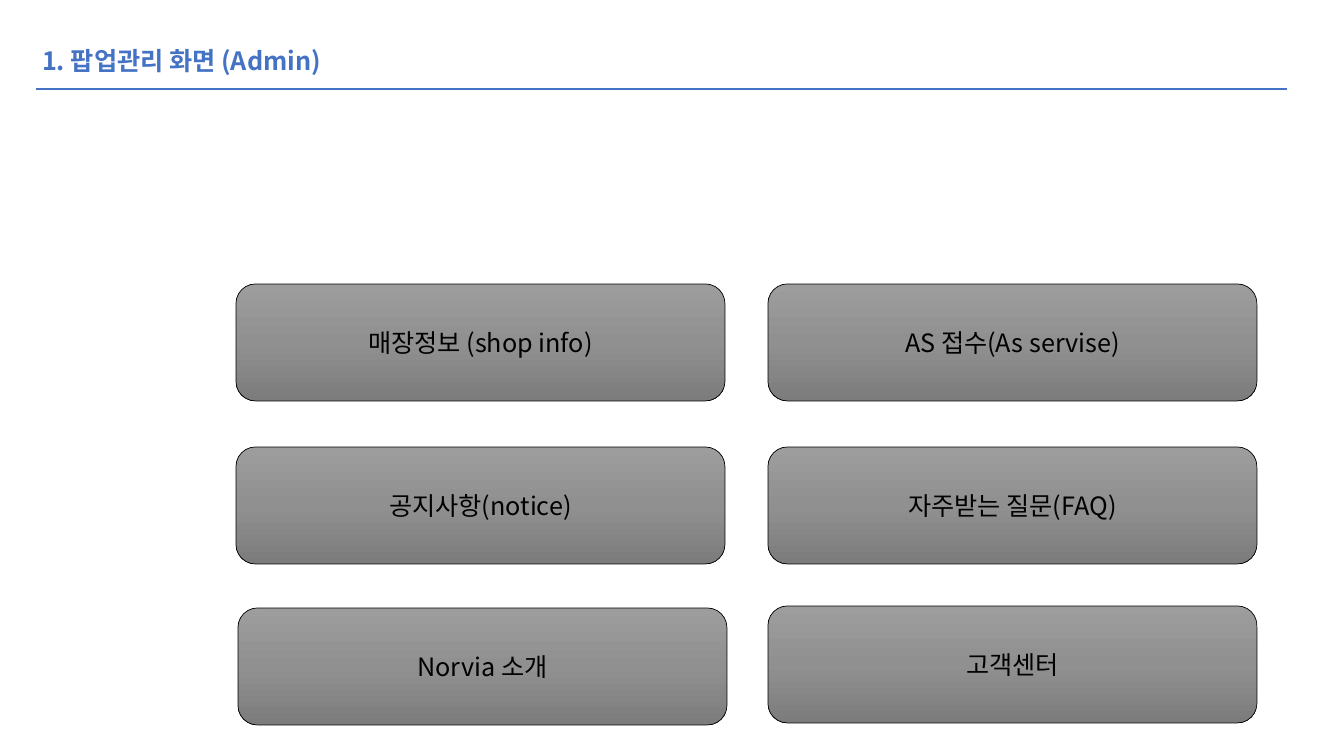
from copy import deepcopy

from lxml import etree
from pptx import Presentation
from pptx import util as u
from pptx.dml.color import RGBColor
from pptx.enum import shapes, text
from pptx.oxml.ns import qn

FONT = "Noto Sans CJK KR"
BLUE = RGBColor(0x44, 0x72, 0xC4)
BLACK = RGBColor(0, 0, 0)
GRADIENT = [
    (0, RGBColor(0x9D, 0x9D, 0x9D)),
    (0.5, RGBColor(0x90, 0x90, 0x90)),
    (1, RGBColor(0x7C, 0x7C, 0x7C)),
]


def px(n):
    return u.Emu(round(n * 914400 / 100.8))


def add_run(paragraph, wording, color, bold=False):
    run = paragraph.add_run()
    run.text = wording
    run.font.size = u.Pt(18)
    run.font.bold = bold
    run.font.color.rgb = color
    run.font.name = FONT
    # Korean glyphs take the East Asian typeface
    etree.SubElement(run.font._element, qn("a:ea")).set("typeface", FONT)


prs = Presentation()
prs.slide_width, prs.slide_height = px(1344), px(756)
slide = prs.slides.add_slide(prs.slide_layouts[5])

# Heading
heading = slide.shapes.title
heading.left, heading.top, heading.width, heading.height = px(32), px(40), px(320), px(40)
heading_frame = heading.text_frame
heading_frame.word_wrap = False
heading_frame.auto_size = text.MSO_AUTO_SIZE.SHAPE_TO_FIT_TEXT
heading_frame.vertical_anchor = text.MSO_ANCHOR.TOP
heading_frame.paragraphs[0].alignment = text.PP_ALIGN.LEFT
add_run(heading_frame.paragraphs[0], "1. 팝업관리 화면 (Admin)", BLUE, bold=True)

# Rule under the heading
rule = slide.shapes.add_connector(
    shapes.MSO_CONNECTOR.STRAIGHT, px(36), px(89), px(1287), px(89))
rule.line.color.rgb = BLUE
rule.line.width = u.Pt(1.5)
etree.SubElement(rule._element.spPr, qn("a:effectLst"))

# Menu buttons: label, left, top
menu = [
    ("매장정보 (shop info)", 236, 284),
    ("AS 접수(As servise)", 768, 284),
    ("공지사항(notice)", 236, 447),
    ("자주받는 질문(FAQ)", 768, 447),
    ("Norvia 소개", 238, 608),
    ("고객센터", 768, 606),
]
for label, left, top in menu:
    button = slide.shapes.add_shape(
        shapes.MSO_SHAPE.ROUNDED_RECTANGLE, px(left), px(top), px(489), px(117))
    button.shadow.inherit = False
    button.line.color.rgb = BLACK
    button.line.width = u.Pt(0.5)

    # Three-stop gradient, running from top to bottom
    button.fill.gradient()
    button.fill.gradient_angle = 270
    stop_list = button._element.spPr.find(".//" + qn("a:gsLst"))
    stop_list.append(deepcopy(stop_list[0]))
    for stop, (position, color) in zip(button.fill.gradient_stops, GRADIENT):
        stop.position = position
        stop.color.rgb = color

    button.text_frame.vertical_anchor = text.MSO_ANCHOR.MIDDLE
    caption = button.text_frame.paragraphs[0]
    caption.alignment = text.PP_ALIGN.CENTER
    add_run(caption, label, BLACK)

prs.save("out.pptx")
